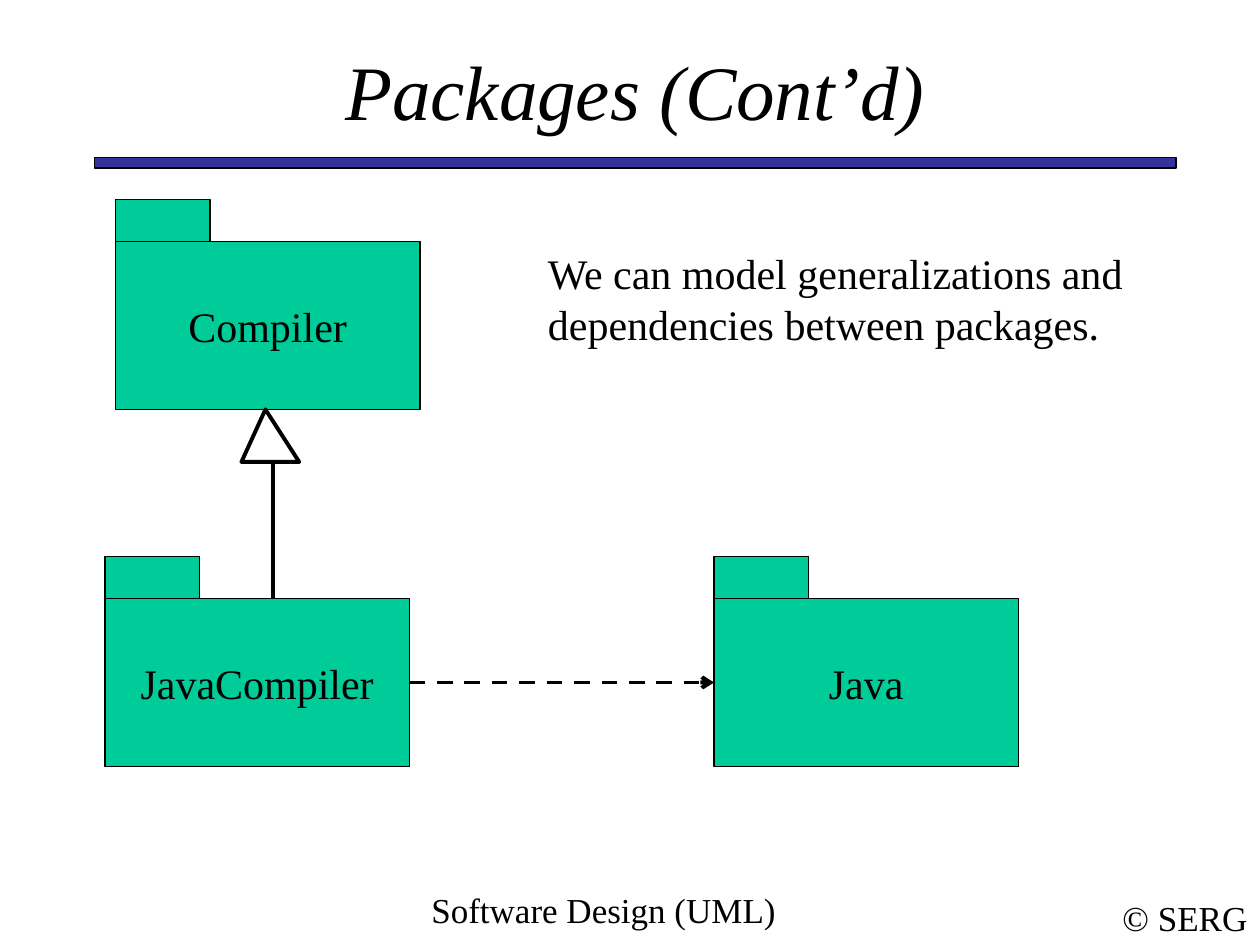
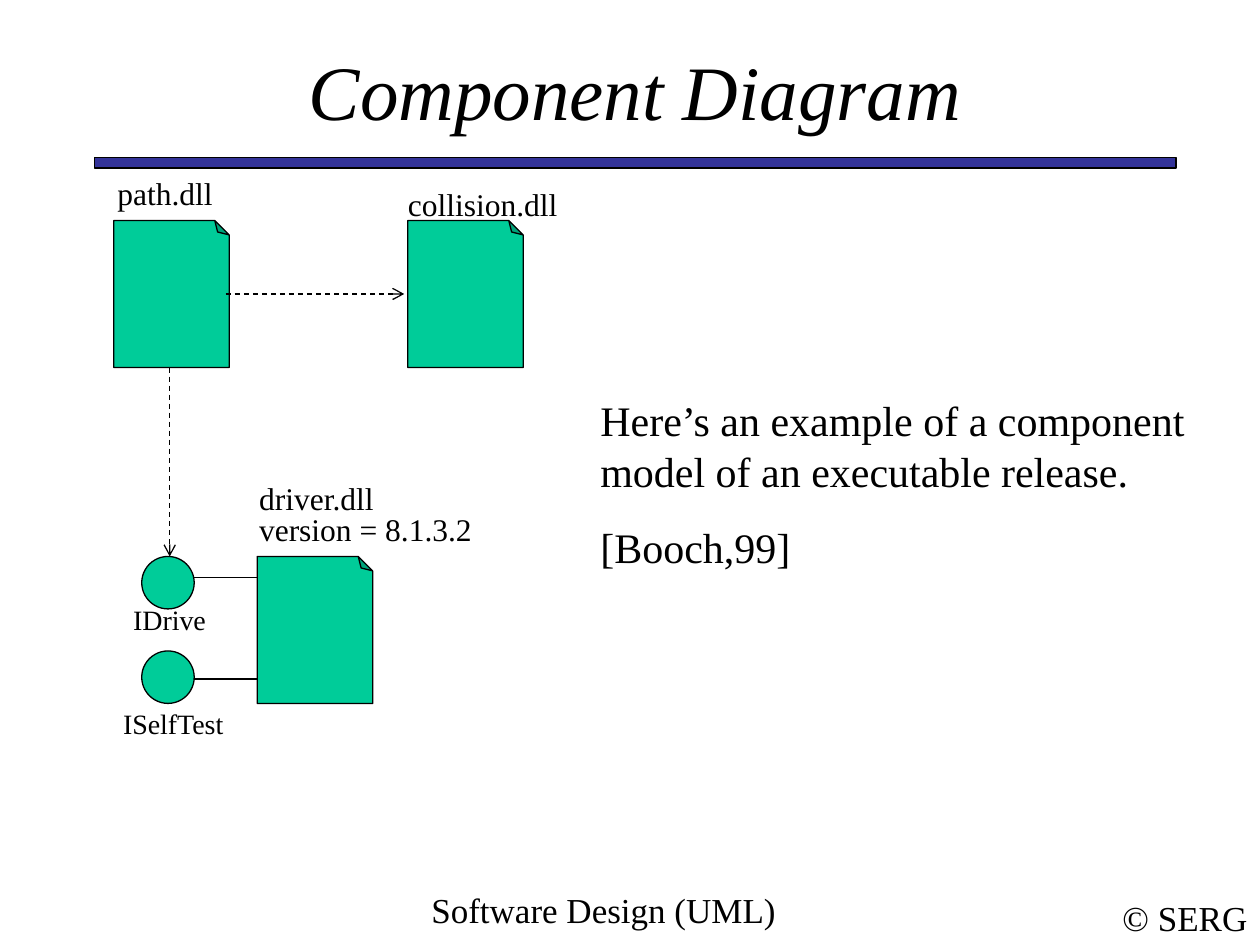
from lxml.etree import SubElement
from pptx import Presentation
from pptx.dml.color import RGBColor
from pptx.enum.dml import MSO_LINE
from pptx.enum.shapes import MSO_CONNECTOR, MSO_SHAPE
from pptx.enum.text import MSO_ANCHOR, MSO_AUTO_SIZE, PP_ALIGN
from pptx.oxml.ns import qn
from pptx.util import Pt

FONT = "Times New Roman"
COLORS = {"ink": "000000", "paper": "FFFFFF", "band": "333399", "node": "00CC99"}
TAB_WIDTH, TAB_HEIGHT = 54, 24
BODY_WIDTH, BODY_HEIGHT = 174, 96
FILE_WIDTH, FILE_HEIGHT = 66, 84
CIRCLE_SIZE = 30


def color(name):
    return RGBColor.from_string(COLORS[name])


def write_text(shape, *lines, size=24, italic=False, align=PP_ALIGN.LEFT,
               anchor=MSO_ANCHOR.TOP, wrap=True, space_before=0):
    """Fill a shape with one paragraph per line; the first has no space before."""
    frame = shape.text_frame
    frame.auto_size = MSO_AUTO_SIZE.NONE
    frame.word_wrap = wrap
    frame.vertical_anchor = anchor
    for index, line in enumerate(lines):
        paragraph = frame.add_paragraph() if index else frame.paragraphs[0]
        paragraph.alignment = align
        paragraph.space_before = Pt(space_before if index else 0)
        run = paragraph.add_run()
        run.text = line
        run.font.name = FONT
        run.font.size = Pt(size)
        run.font.italic = italic
        run.font.color.rgb = color("ink")


def add_text(slide, box, *lines, **text_format):
    write_text(slide.shapes.add_textbox(*map(Pt, box)), *lines, **text_format)


def style_shape(shape, fill, line_width=0.75):
    shape.shadow.inherit = False
    shape.fill.solid()
    shape.fill.fore_color.rgb = color(fill)
    shape.line.color.rgb = color("ink")
    shape.line.width = Pt(line_width)


def add_filled_shape(slide, kind, box, fill="node"):
    shape = slide.shapes.add_shape(kind, *map(Pt, box))
    style_shape(shape, fill)
    return shape


def add_line(slide, start, end, width=0.75, dependency=False):
    """Draw a straight line; a dependency is dashed with an open arrowhead."""
    connector = slide.shapes.add_connector(
        MSO_CONNECTOR.STRAIGHT, *map(Pt, (*start, *end)))
    connector.line.color.rgb = color("ink")
    connector.line.width = Pt(width)
    properties = connector._element.spPr
    if dependency:
        connector.line.dash_style = MSO_LINE.DASH
        SubElement(properties.find(qn("a:ln")), qn("a:tailEnd"), type="arrow")
    SubElement(properties, qn("a:effectLst"))
    return connector


def add_titled_slide(presentation, title):
    """Add a slide with the shared title, band and footers."""
    slide = presentation.slides.add_slide(presentation.slide_layouts[5])
    placeholder = slide.shapes.title
    placeholder.left, placeholder.top = Pt(54), Pt(30)
    placeholder.width, placeholder.height = Pt(618), Pt(42)
    write_text(placeholder, title, size=44, italic=True,
               align=PP_ALIGN.CENTER, anchor=MSO_ANCHOR.MIDDLE)
    add_filled_shape(slide, MSO_SHAPE.RECTANGLE, (54, 90, 618, 6), "band")
    add_text(slide, (186, 504, 318, 36), "Software Design (UML)",
             size=20, align=PP_ALIGN.CENTER)
    add_text(slide, (634.3, 508.5, 85.7, 31.5), "© SERG", size=20,
             align=PP_ALIGN.CENTER, anchor=MSO_ANCHOR.MIDDLE, wrap=False)
    return slide


def add_package(slide, left, top, name):
    """Draw a tabbed package and return its body."""
    body = add_filled_shape(slide, MSO_SHAPE.RECTANGLE,
                            (left, top + TAB_HEIGHT, BODY_WIDTH, BODY_HEIGHT))
    write_text(body, name, align=PP_ALIGN.CENTER,
               anchor=MSO_ANCHOR.MIDDLE, wrap=False)
    add_filled_shape(slide, MSO_SHAPE.RECTANGLE, (left, top, TAB_WIDTH, TAB_HEIGHT))
    return body


def add_generalization(slide, left, top, height):
    """Draw a line that rises to a hollow triangle."""
    base = top + 30
    add_line(slide, (left + 18, base), (left + 18, top + height), width=2.25)
    builder = slide.shapes.build_freeform(Pt(left + 13.7), Pt(top))
    builder.add_line_segments([(Pt(left), Pt(base)), (Pt(left + 33), Pt(base))])
    style_shape(builder.convert_to_shape(), "paper", line_width=2.25)


def add_file(slide, left, top):
    """Draw a page with its top right corner folded."""
    page = add_filled_shape(slide, MSO_SHAPE.FOLDED_CORNER,
                            (left, top, FILE_WIDTH, FILE_HEIGHT))
    properties = page._element.spPr
    properties.find(qn("a:xfrm")).set("flipV", "1")
    adjustments = properties.find(qn("a:prstGeom")).find(qn("a:avLst"))
    SubElement(adjustments, qn("a:gd"), name="adj", fmla="val 12500")


def add_interface(slide, left, top, line_top, line_end):
    """Draw an interface circle and the line to its component."""
    add_filled_shape(slide, MSO_SHAPE.OVAL, (left, top, CIRCLE_SIZE, CIRCLE_SIZE))
    add_line(slide, (left + CIRCLE_SIZE, line_top), (line_end, line_top))


def build_packages_slide(presentation):
    slide = add_titled_slide(presentation, "Packages (Cont’d)")
    add_package(slide, 66, 114, "Compiler")
    java_compiler = add_package(slide, 60, 318, "JavaCompiler")
    java = add_package(slide, 408, 318, "Java")
    add_generalization(slide, 138, 234, 108)
    dependency = add_line(slide, (234, 390), (408, 390), width=2.25, dependency=True)
    dependency.begin_connect(java_compiler, 3)
    dependency.end_connect(java, 1)
    add_text(slide, (306, 138, 384, 64.8),
             "We can model generalizations and dependencies between packages.")


def build_components_slide(presentation):
    slide = add_titled_slide(presentation, "Component Diagram")
    driver_left, driver_top = 147, 318
    for left, top in ((65, 126), (233, 126), (driver_left, driver_top)):
        add_file(slide, left, top)
    for top, line_top in ((driver_top, 330), (372, 388)):
        add_interface(slide, 81, top, line_top, driver_left)
    add_line(slide, (97, 210), (97, driver_top), dependency=True)
    add_line(slide, (129, 168), (231, 168), dependency=True)

    labels = [
        ("path.dll", (60, 96, 96, 28.8), 18),
        ("collision.dll", (226, 102, 126, 28.8), 18),
        ("driver.dll", (141, 270, 96, 28.8), 18),
        ("version = 8.1.3.2", (141, 288, 180, 28.8), 18),
        ("IDrive", (69, 341, 78, 26.6), 16),
        ("ISelfTest", (63.2, 400.2, 73, 26.6), 16),
    ]
    for label, box, size in labels:
        add_text(slide, box, label, size=size)
    add_text(slide, (336, 222, 354, 108.7),
             "Here’s an example of a component model of an executable release.",
             "[Booch,99]", space_before=15)


def main():
    presentation = Presentation()
    presentation.slide_width, presentation.slide_height = Pt(720), Pt(540)
    build_packages_slide(presentation)
    build_components_slide(presentation)
    presentation.save("out.pptx")


if __name__ == "__main__":
    main()
